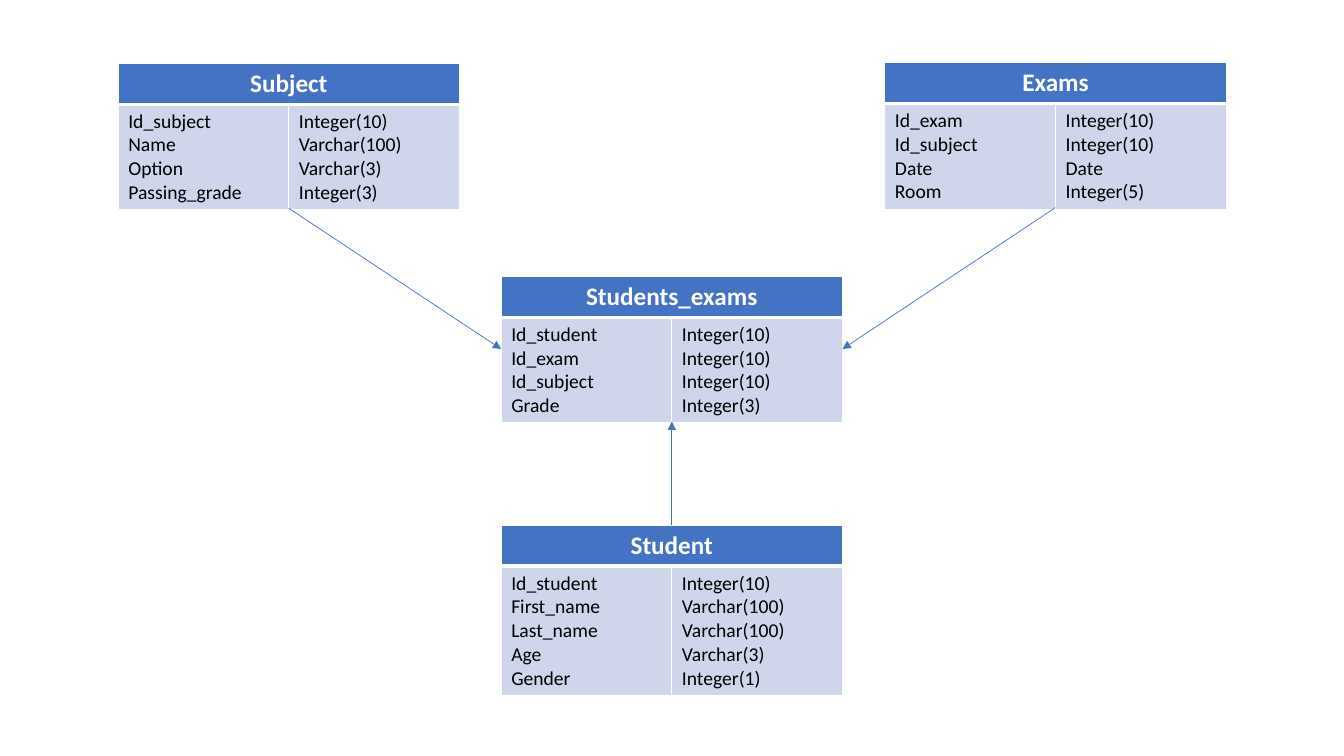
from lxml import etree
from pptx import Presentation
from pptx.dml.color import RGBColor
from pptx.enum.shapes import MSO_CONNECTOR
from pptx.enum.text import MSO_ANCHOR, PP_ALIGN
from pptx.oxml.ns import qn
from pptx.util import Cm, Pt

STRAIGHT = MSO_CONNECTOR.STRAIGHT
MIDDLE = MSO_ANCHOR.MIDDLE
LEFT, CENTER = PP_ALIGN.LEFT, PP_ALIGN.CENTER
TOP_SIDE, LEFT_SIDE, BOTTOM_SIDE, RIGHT_SIDE = range(4)

BLUE, PALE, WHITE, BLACK = "4472C4", "CFD5EA", "FFFFFF", "000000"
FONT = "Calibri"

# Sizes in cm
TABLE_W = 8.6
HEADER_H = 1.03
LINE_H = 0.59
CELL_PAD = 0.26

# Name: (left, top, fields)
ENTITIES = {
    "Students_exams": (12.63, 6.97, [
        ("Id_student", "Integer(10)"), ("Id_exam", "Integer(10)"),
        ("Id_subject", "Integer(10)"), ("Grade", "Integer(3)")]),
    "Subject": (2.98, 1.6, [
        ("Id_subject", "Integer(10)"), ("Name", "Varchar(100)"),
        ("Option", "Varchar(3)"), ("Passing_grade", "Integer(3)")]),
    "Student": (12.63, 13.24, [
        ("Id_student", "Integer(10)"), ("First_name", "Varchar(100)"),
        ("Last_name", "Varchar(100)"), ("Age", "Varchar(3)"),
        ("Gender", "Integer(1)")]),
    "Exams": (22.3, 1.58, [
        ("Id_exam", "Integer(10)"), ("Id_subject", "Integer(10)"),
        ("Date", "Date"), ("Room", "Integer(5)")]),
}

# From entity, its side, to entity, its side
RELATIONS = [
    ("Subject", BOTTOM_SIDE, "Students_exams", LEFT_SIDE),
    ("Exams", BOTTOM_SIDE, "Students_exams", RIGHT_SIDE),
    ("Student", TOP_SIDE, "Students_exams", BOTTOM_SIDE),
]


def color(value):
    return RGBColor.from_string(value)


def write(tf, lines, size=14, fill=BLACK, bold=False, align=LEFT):
    for i, line in enumerate(lines):
        p = tf.add_paragraph() if i else tf.paragraphs[0]
        p.alignment = align
        r = p.add_run()
        r.text = line
        r.font.name = FONT
        r.font.size = Pt(size)
        r.font.bold = bold
        r.font.color.rgb = color(fill)


def style_cell(cell, fill, top=1, bottom=1):
    cell.vertical_anchor = MIDDLE
    cell.fill.solid()
    cell.fill.fore_color.rgb = color(fill)
    # Borders go before the fill
    tc_pr = cell._tc.get_or_add_tcPr()
    widths = [("a:lnL", 1), ("a:lnR", 1), ("a:lnT", top), ("a:lnB", bottom)]
    for i, (tag, width) in enumerate(widths):
        ln = etree.Element(qn(tag), w=str(Pt(width)))
        solid = etree.SubElement(ln, qn("a:solidFill"))
        etree.SubElement(solid, qn("a:srgbClr"), val=WHITE)
        tc_pr.insert(i, ln)


def add_entity(s, name, left, top, fields):
    body_h = CELL_PAD + LINE_H * len(fields)
    frame = s.shapes.add_table(2, 2, Cm(left), Cm(top),
                               Cm(TABLE_W), Cm(HEADER_H + body_h))
    table = frame.table
    table.rows[0].height = Cm(HEADER_H)
    table.rows[1].height = Cm(body_h)

    # Header across both columns
    header = table.cell(0, 0)
    header.merge(table.cell(0, 1))
    write(header.text_frame, [name], size=18, fill=WHITE, bold=True,
          align=CENTER)

    # Field names and types
    for col, lines in enumerate(zip(*fields)):
        style_cell(table.cell(0, col), BLUE, bottom=3)
        body = table.cell(1, col)
        style_cell(body, PALE, top=3)
        write(body.text_frame, lines)
    return frame


def add_relation(s, start, start_side, end, end_side):
    line = s.shapes.add_connector(STRAIGHT, 0, 0, 0, 0)
    line.begin_connect(start, start_side)
    line.end_connect(end, end_side)
    line.line.color.rgb = color(BLUE)
    line.line.width = Pt(0.5)
    etree.SubElement(line.line._get_or_add_ln(), qn("a:tailEnd"),
                     type="triangle")
    etree.SubElement(line._element.spPr, qn("a:effectLst"))


def main():
    prs = Presentation()
    prs.slide_width, prs.slide_height = Cm(33.87), Cm(19.05)
    s = prs.slides.add_slide(prs.slide_layouts[6])

    # Tables of the schema
    frames = {name: add_entity(s, name, *entity)
              for name, entity in ENTITIES.items()}

    # Arrows between them
    for start, start_side, end, end_side in RELATIONS:
        add_relation(s, frames[start], start_side, frames[end], end_side)

    prs.save("out.pptx")


if __name__ == "__main__":
    main()
